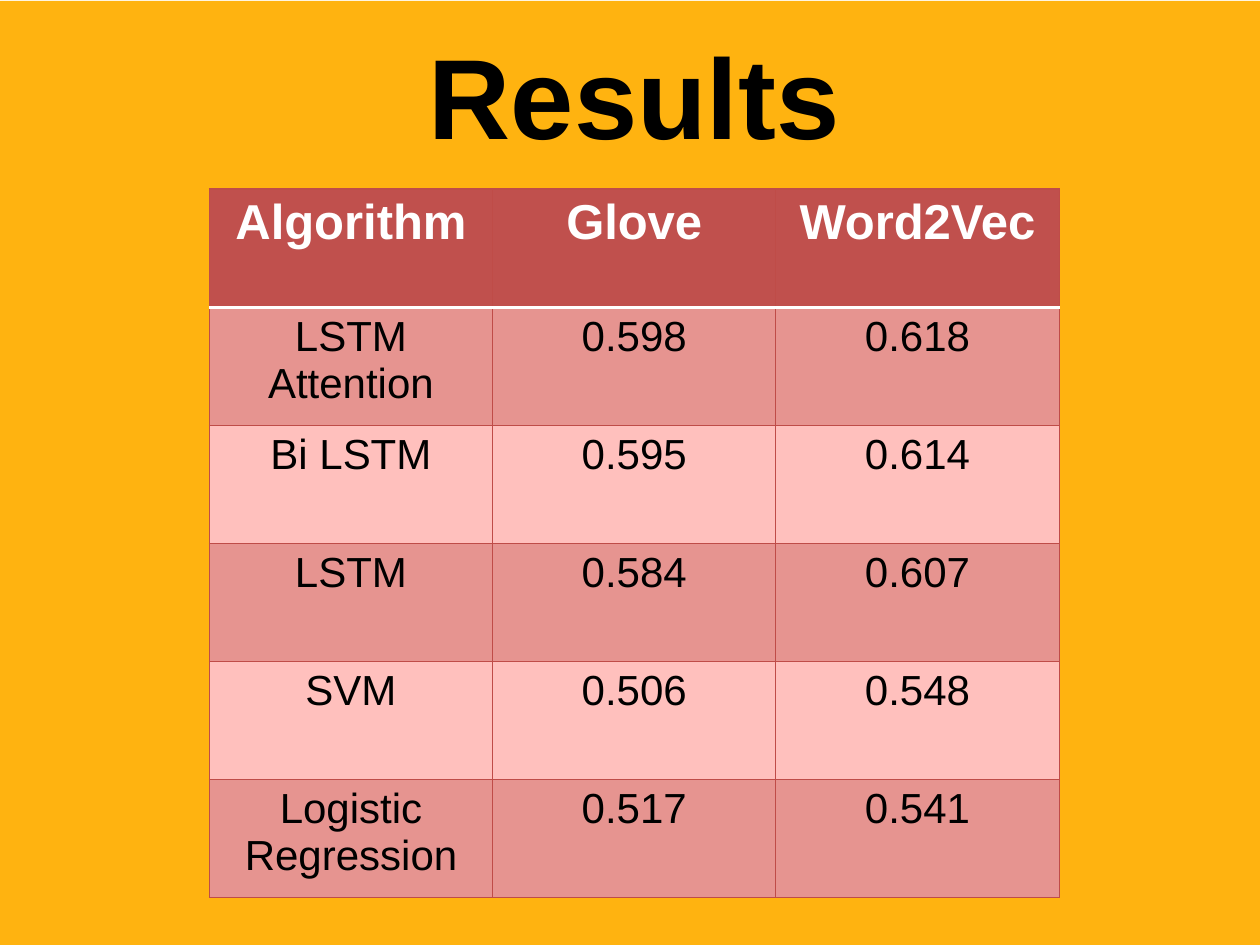
from lxml.etree import SubElement
from pptx import Presentation
from pptx.dml.color import RGBColor
from pptx.enum.shapes import MSO_SHAPE
from pptx.enum.text import MSO_ANCHOR, PP_ALIGN
from pptx.oxml.ns import qn
from pptx.util import Cm, Pt

COLORS = {
    "backdrop": "FFB310",
    "header": "C0504D",
    "band_dark": "E69490",
    "band_light": "FFC0BD",
    "grid": "BF4C48",
    "white": "FFFFFF",
    "black": "000000",
}
FORMATS = {
    "title": {"name": "Arial", "size": Pt(65), "bold": True},
    "header": {"name": "Arial", "size": Pt(28), "bold": True},
    "body": {"name": "Arial", "size": Pt(24), "bold": False},
}
SCORES = [
    ("Algorithm", "Glove", "Word2Vec"),
    ("LSTM Attention", "0.598", "0.618"),
    ("Bi LSTM", "0.595", "0.614"),
    ("LSTM", "0.584", "0.607"),
    ("SVM", "0.506", "0.548"),
    ("Logistic Regression", "0.517", "0.541"),
]
COLUMN_WIDTH, ROW_HEIGHT = Cm(5.71), Cm(2.38)


def rgb(color):
    return RGBColor.from_string(COLORS[color])


def write(frame, text, style, color):
    paragraph = frame.paragraphs[0]
    paragraph.alignment = PP_ALIGN.CENTER
    run = paragraph.add_run()
    run.text = text
    for attribute, value in FORMATS[style].items():
        setattr(run.font, attribute, value)
    run.font.color.rgb = rgb(color)


def add_backdrop(slide, width, height):
    backdrop = slide.shapes.add_shape(MSO_SHAPE.RECTANGLE, 0, Cm(0.02), width, height)
    backdrop.shadow.inherit = False
    backdrop.fill.solid()
    backdrop.fill.fore_color.rgb = rgb("backdrop")
    backdrop.line.fill.background()


def add_title(slide, text):
    title = slide.shapes.add_textbox(Cm(0.74), Cm(0.2), Cm(24.1), Cm(3.4))
    title.text_frame.word_wrap = True
    title.text_frame.vertical_anchor = MSO_ANCHOR.MIDDLE
    write(title.text_frame, text, "title", "black")


def set_borders(cell, borders):
    """Draw the cell edges; borders maps each side to (color, width)."""
    properties = cell._tc.get_or_add_tcPr()
    for index, (side, (color, width)) in enumerate(borders.items()):
        edge = properties.makeelement(qn(f"a:ln{side}"), {"w": str(Pt(width))})
        fill = SubElement(edge, qn("a:solidFill"))
        SubElement(fill, qn("a:srgbClr"), val=COLORS[color])
        properties.insert(index, edge)  # edges come before the cell fill


def add_scores(slide):
    rows, columns = len(SCORES), len(SCORES[0])
    scores = slide.shapes.add_table(
        rows, columns, Cm(4.22), Cm(3.81), columns * COLUMN_WIDTH, rows * ROW_HEIGHT
    ).table
    for column in scores.columns:
        column.width = COLUMN_WIDTH
    for row in scores.rows:
        row.height = ROW_HEIGHT

    for r, values in enumerate(SCORES):
        # Header row, then alternating bands
        if r == 0:
            style, ink, band = "header", "white", "header"
        else:
            style, ink = "body", "black"
            band = "band_dark" if r % 2 else "band_light"
        borders = {side: ("grid", 0.75) for side in "LRTB"}
        if r == 0:
            borders["B"] = ("white", 2)
        elif r == 1:
            borders["T"] = ("white", 2)
        for c, value in enumerate(values):
            cell = scores.cell(r, c)
            cell.fill.solid()
            cell.fill.fore_color.rgb = rgb(band)
            write(cell.text_frame, value, style, ink)
            set_borders(cell, borders)


def main():
    deck = Presentation()
    deck.slide_width, deck.slide_height = Cm(25.4), Cm(19.05)
    slide = deck.slides.add_slide(deck.slide_layouts[6])
    add_backdrop(slide, deck.slide_width, deck.slide_height)
    add_title(slide, "Results")
    add_scores(slide)
    deck.save("out.pptx")


main()
